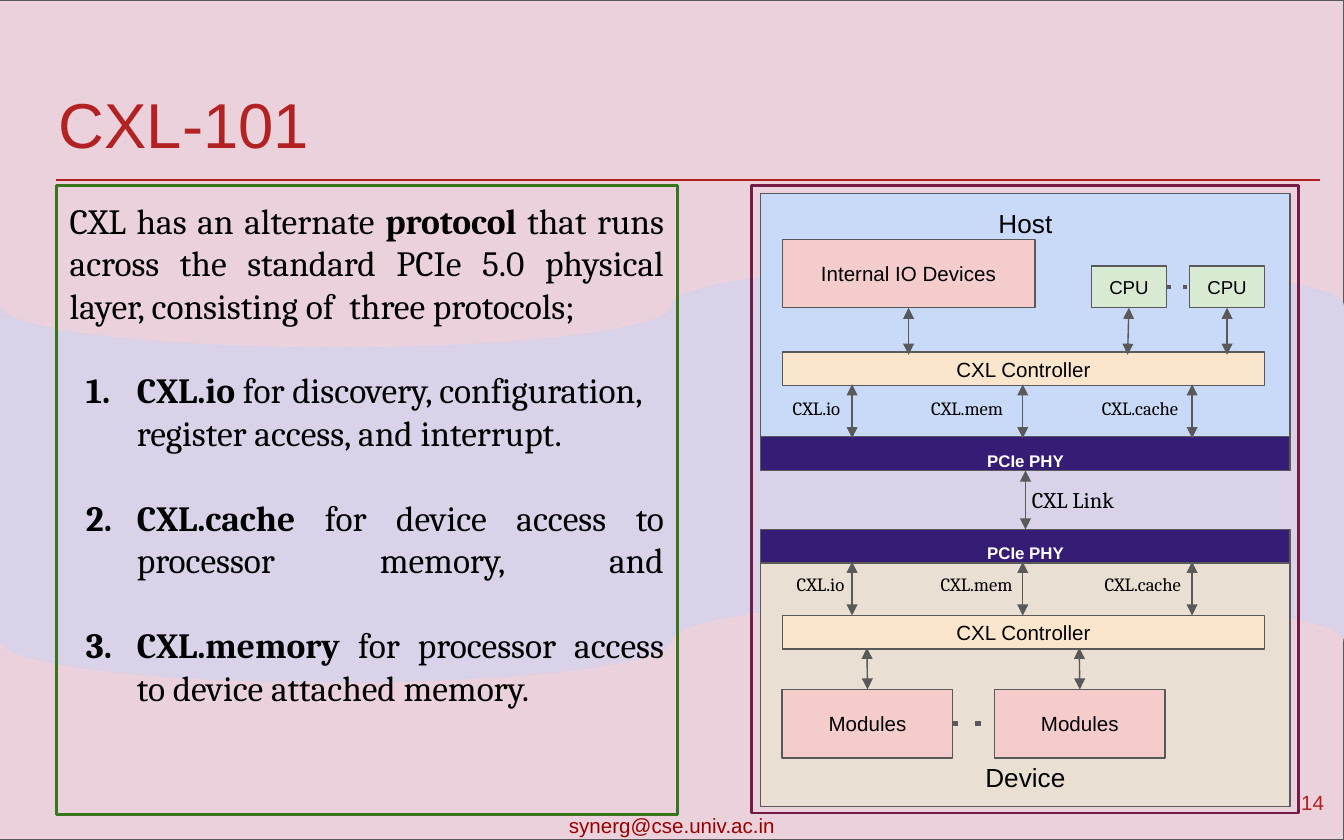
"""Build the CXL-101 slide: protocol notes beside a host and device diagram."""
import pptx
import pptx.util
import pptx.dml.color
import pptx.enum.shapes
import pptx.enum.text
import pptx.oxml
import pptx.oxml.ns

Inches, Pt = pptx.util.Inches, pptx.util.Pt
RGBColor = pptx.dml.color.RGBColor
ALIGN = pptx.enum.text.PP_ALIGN
ANCHOR = pptx.enum.text.MSO_ANCHOR
PRESET = pptx.enum.shapes.MSO_SHAPE
STRAIGHT = pptx.enum.shapes.MSO_CONNECTOR.STRAIGHT

PINK = RGBColor(0xEA, 0xD1, 0xDC)
LAVENDER = RGBColor(0xD9, 0xD2, 0xE9)
RED = RGBColor(0xB2, 0x22, 0x22)
DARK_RED = RGBColor(0x98, 0x00, 0x00)
GREEN = RGBColor(0x38, 0x76, 0x1D)
MAROON = RGBColor(0x74, 0x1B, 0x47)
GRAY = RGBColor(0x59, 0x59, 0x59)
SAND = RGBColor(0xEA, 0xDF, 0xD3)
SKY = RGBColor(0xC9, 0xDA, 0xF8)
ROSE = RGBColor(0xF4, 0xCC, 0xCC)
PEACH = RGBColor(0xFC, 0xE5, 0xCD)
MINT = RGBColor(0xD9, 0xEA, 0xD3)
INDIGO = RGBColor(0x35, 0x1C, 0x75)
BLACK = RGBColor(0, 0, 0)
WHITE = RGBColor(0xFF, 0xFF, 0xFF)

INTRO = [("CXL has an alternate ", False), ("protocol", True),
         (" that runs across the standard PCIe 5.0 physical layer, "
          "consisting of  three protocols;", False)]
ITEMS = [
    ("CXL.io", " for discovery, configuration, register access, and interrupt.", ALIGN.LEFT, False),
    ("CXL.cache", " for device access to processor memory, and", ALIGN.JUSTIFY, True),
    ("CXL.memory", " for processor access to device attached memory.", ALIGN.JUSTIFY, False),
]
LINE_GAP = 22.5

PANEL = {"size": 14}
PART = {"size": 11, "anchor": ANCHOR.MIDDLE}
CORE = {"size": 10, "anchor": ANCHOR.MIDDLE}
PHY = {"size": 9, "bold": True, "color": WHITE}
BLOCKS = {
    "device": ("Device", (5.66, 3.94, 3.94, 2.06), SAND, {"size": 14, "anchor": ANCHOR.BOTTOM}),
    "host": ("Host", (5.66, 1.44, 3.94, 2.06), SKY, PANEL),
    "module 1": ("Modules", (5.82, 5.13, 1.27, 0.51), ROSE, PART),
    "module 2": ("Modules", (7.4, 5.13, 1.27, 0.51), ROSE, PART),
    "device controller": ("CXL Controller", (5.82, 4.58, 3.59, 0.25), PEACH, PART),
    "device phy": ("PCIe PHY", (5.66, 3.94, 3.94, 0.25), INDIGO, PHY),
    "io devices": ("Internal IO Devices", (5.82, 1.78, 1.88, 0.51), ROSE, PART),
    "host controller": ("CXL Controller", (5.82, 2.62, 3.59, 0.25), PEACH, PART),
    "cpu 1": ("CPU", (8.12, 1.98, 0.56, 0.31), MINT, CORE),
    "cpu 2": ("CPU", (8.85, 1.98, 0.56, 0.31), MINT, CORE),
    "host phy": ("PCIe PHY", (5.66, 3.25, 3.94, 0.25), INDIGO, PHY),
}
TOP, LEFT, BOTTOM, RIGHT = range(4)
PORTS = [("io devices", BOTTOM, (6.76, 2.64)), ("cpu 1", BOTTOM, (8.39, 2.64)),
         ("cpu 2", BOTTOM, (9.13, 2.64)), ("module 1", TOP, (6.45, 4.82)),
         ("module 2", TOP, (8.03, 4.82))]
PAIRS = [("cpu 1", RIGHT, "cpu 2", LEFT, 2.25, True),
         ("module 1", RIGHT, "module 2", LEFT, 3, True),
         ("host phy", BOTTOM, "device phy", TOP, 0.75, False)]
CHANNELS = [("CXL.io", 6.34, 0.63, 5.8, 5.83), ("CXL.mem", 7.61, 0.87, 6.83, 6.9),
            ("CXL.cache", 8.87, 0.87, 8.1, 8.12)]
CHANNEL_ROWS = [(2.86, 3.26, 2.87), (4.18, 4.58, 4.18)]


def add_span(para, text, size, font="Arial", color=BLACK, bold=False):
    span = para.add_run()
    span.text = text
    for name, value in {"name": font, "size": Pt(size), "bold": bold}.items():
        setattr(span.font, name, value)
    span.font.color.rgb = color


def set_frame(box, anchor=ANCHOR.TOP):
    frame = box.text_frame
    margins = {"margin_" + side: Inches(0.1) for side in ("left", "top", "right", "bottom")}
    for name, value in {"word_wrap": True, "vertical_anchor": anchor, **margins}.items():
        setattr(frame, name, value)
    return frame


def set_text(box, text, size, align=ALIGN.CENTER, anchor=ANCHOR.TOP, **style):
    para = set_frame(box, anchor).paragraphs[0]
    para.alignment = align
    add_span(para, text, size, **style)


def add_label(page, place, text, size, align=ALIGN.LEFT, **style):
    set_text(page.shapes.add_textbox(*map(Inches, place)), text, size, align, **style)


def add_block(page, place, fill=None, line=GRAY, width=0.75, preset=PRESET.RECTANGLE):
    box = page.shapes.add_shape(preset, *map(Inches, place))
    box.shadow.inherit = False
    if fill is None:
        box.fill.background()
    else:
        box.fill.solid()
        box.fill.fore_color.rgb = fill
    if line is None:
        box.line.fill.background()
    else:
        box.line.color.rgb = line
        box.line.width = Pt(width)
    return box


def add_xml(parent, tag, **attributes):
    child = pptx.oxml.parse_xml(f"<a:{tag} {pptx.oxml.ns.nsdecls('a')}/>")
    for name, value in attributes.items():
        child.set(name, value)
    parent.append(child)


def add_line(page, start=(0, 0), end=(0, 0), color=GRAY, width=0.75, dotted=False, arrows=True):
    line = page.shapes.add_connector(STRAIGHT, *map(Inches, (*start, *end)))
    line.line.color.rgb = color
    line.line.width = Pt(width)
    outline = line.line._get_or_add_ln()
    if dotted:
        add_xml(outline, "prstDash", val="dot")
    elif arrows:
        for tag in ("headEnd", "tailEnd"):
            add_xml(outline, tag, type="triangle")
    add_xml(line._element.spPr, "effectLst")
    return line


def add_notes_panel(page):
    frame = set_frame(add_block(page, (0.42, 1.38, 4.62, 4.68), line=GREEN, width=1.5))
    para = frame.paragraphs[0]
    para.alignment = ALIGN.JUSTIFY
    para.space_after = Pt(LINE_GAP)
    for text, bold in INTRO:
        add_span(para, text, 19, "Cambria", bold=bold)
    for name, purpose, align, stretched in ITEMS:
        para = frame.add_paragraph()
        para.alignment = align
        para.space_after = Pt(0 if stretched else LINE_GAP)
        add_span(para, name, 19, "Cambria", bold=True)
        add_span(para, purpose, 19, "Cambria")
        if stretched:
            para.add_line_break()
            para._p[-1].get_or_add_rPr().set("sz", "1900")
            add_xml(para._p[-1].rPr, "latin", typeface="Cambria")
        layout = para._p.get_or_add_pPr()
        layout.set("marL", str(Inches(0.5)))
        layout.set("indent", str(-Inches(0.38)))
        add_xml(layout, "buFont", typeface="Cambria")
        add_xml(layout, "buAutoNum", type="arabicPeriod")


def add_diagram(page):
    add_block(page, (5.59, 1.38, 4.07, 4.67), line=MAROON, width=1.5)
    boxes = {}
    for name, (text, place, fill, style) in BLOCKS.items():
        boxes[name] = add_block(page, place, fill)
        set_text(boxes[name], text, **style)
    for name, side, end in PORTS:
        add_line(page, end=end).begin_connect(boxes[name], side)
    for first, first_side, second, second_side, width, dotted in PAIRS:
        line = add_line(page, width=width, dotted=dotted)
        line.begin_connect(boxes[first], first_side)
        line.end_connect(boxes[second], second_side)
    for row, (top, bottom, label_top) in enumerate(CHANNEL_ROWS):
        for text, x, width, *lefts in CHANNELS:
            add_line(page, (x, top), (x, bottom))
            add_label(page, (lefts[row], label_top, width, 0.37), text, 10, font="Cambria")
    add_label(page, (7.58, 3.52, 0.87, 0.4), "CXL Link", 12, font="Cambria")


def main():
    deck = pptx.Presentation()
    deck.slide_width, deck.slide_height = Inches(10), Inches(6.25)
    page = deck.slides.add_slide(deck.slide_layouts[6])
    page.background.fill.solid()
    page.background.fill.fore_color.rgb = PINK
    add_block(page, (-0.03, 0, 10.03, 6.25))
    add_block(page, (0, 1.96, 10, 3.12), LAVENDER, None, preset=PRESET.FLOWCHART_PUNCHED_TAPE)
    add_line(page, (0.42, 1.34), (9.82, 1.34), RED, 1.5, arrows=False)
    add_label(page, (0, 5.96, 10, 0.39), "synerg@cse.univ.ac.in", 11, ALIGN.CENTER, color=DARK_RED)
    add_label(page, (0.34, 0.53, 9.32, 0.7), "CXL-101", 34, color=RED)
    add_label(page, (9.25, 5.73, 0.7, 0.48), "14", 11, ALIGN.RIGHT, anchor=ANCHOR.MIDDLE, color=RED)
    add_notes_panel(page)
    add_diagram(page)
    deck.save("out.pptx")


if __name__ == "__main__":
    main()
